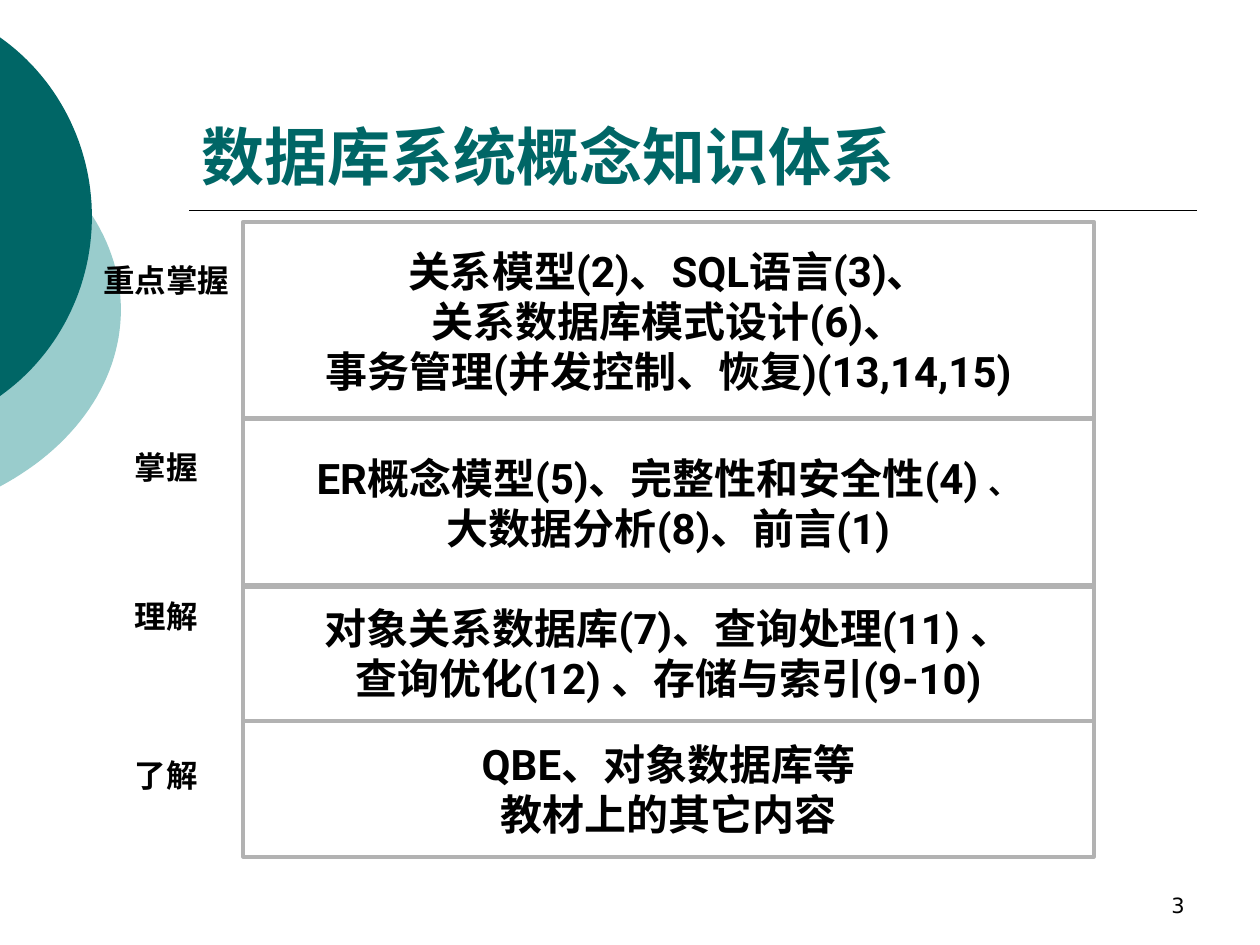
from math import acos, cos, sin

from lxml.etree import SubElement
from pptx import Presentation
from pptx.dml.color import RGBColor
from pptx.enum.shapes import MSO_CONNECTOR as Connector, MSO_SHAPE as Shape
from pptx.enum.text import MSO_ANCHOR as Anchor, PP_ALIGN as Align
from pptx.oxml.ns import qn
from pptx.util import Inches, Pt

TEAL = RGBColor(0x00, 0x66, 0x66)
PALE = RGBColor(0x99, 0xCC, 0xCC)
GRAY = RGBColor(0xB2, 0xB2, 0xB2)
BLACK = RGBColor(0x00, 0x00, 0x00)

LEVELS = [
    ("重点掌握", 2.02, 1.76, 1.57,
     [["关系模型(2)、SQL语言(3)、"], ["关系数据库模式设计(6)、"],
      ["事务管理(并发控制、恢复)(13,14,15)"]]),
    ("掌握", 3.51, 3.32, 1.34,
     [["ER概念模型(5)、完整性和安全性(4) ", "、"], ["大数据分析(8)、前言(1)"]]),
    ("理解", 4.69, 4.64, 1.08,
     [["对象关系数据库(7)、查询处理(11) 、"], ["查询优化(12) 、存储与索引(9-10)"]]),
    ("了解", 5.95, 5.72, 1.08,
     [["QBE、对象数据库等"], ["教材上的其它内容"]]),
]


class Deck:
    font = "Roboto"

    def __init__(self, prs):
        self.s = prs.slides.add_slide(prs.slide_layouts[5])

    def style(self, r, size, color=BLACK, bold=True, font=None):
        r.font.name = font or self.font
        r.font.size = Pt(size)
        r.font.bold = bold
        r.font.color.rgb = color

    def title(self, text):
        sp = self.s.shapes.title
        sp.left, sp.top = Inches(1.5), Inches(0.33)
        sp.width, sp.height = Inches(8), Inches(1.25)
        tf = sp.text_frame
        tf.text = text
        tf.vertical_anchor = Anchor.BOTTOM
        p = tf.paragraphs[0]
        p.alignment = Align.LEFT
        self.style(p.runs[0], 36, TEAL, font="Arial")

    def edge_arc(self, cx, cy, rx, ry, color, steps=60):
        limit = acos(-cx / rx)
        angles = [limit * (2 * i / steps - 1) for i in range(steps + 1)]
        points = [(Inches(cx + rx * cos(a)), Inches(cy + ry * sin(a))) for a in angles]
        fb = self.s.shapes.build_freeform(*points[0])
        fb.add_line_segments(points[1:], close=True)
        sp = fb.convert_to_shape()
        sp.shadow.inherit = False
        sp.fill.solid()
        sp.fill.fore_color.rgb = color
        sp.line.fill.background()

    def rule(self, x1, x2, y):
        line = self.s.shapes.add_connector(
            Connector.STRAIGHT, Inches(x1), Inches(y), Inches(x2), Inches(y))
        line.line.color.rgb = BLACK
        line.line.width = Pt(1)
        SubElement(line._element.spPr, qn("a:effectLst"))

    def box(self, top, height, lines):
        sp = self.s.shapes.add_shape(
            Shape.RECTANGLE, Inches(1.93), Inches(top), Inches(6.75), Inches(height))
        sp.shadow.inherit = False
        sp.fill.background()
        sp.line.color.rgb = GRAY
        sp.line.width = Pt(2.25)
        tf = sp.text_frame
        tf.word_wrap = False
        tf.vertical_anchor = Anchor.MIDDLE
        for i, parts in enumerate(lines):
            p = tf.add_paragraph() if i else tf.paragraphs[0]
            p.alignment = Align.CENTER
            for part, size in zip(parts, (24, 18)):
                r = p.add_run()
                r.text = part
                self.style(r, size)

    def text(self, x, y, w, h, text, size, align, anchor=Anchor.TOP, **style):
        tb = self.s.shapes.add_textbox(Inches(x), Inches(y), Inches(w), Inches(h))
        tf = tb.text_frame
        tf.word_wrap = True
        tf.vertical_anchor = anchor
        tf.text = text
        p = tf.paragraphs[0]
        p.alignment = align
        self.style(p.runs[0], size, **style)


def main():
    prs = Presentation()
    prs.slide_width, prs.slide_height = Inches(10), Inches(7.5)
    deck = Deck(prs)
    deck.edge_arc(-1.29, 2.46, 2.25, 1.71, PALE)
    deck.edge_arc(-0.96, 1.72, 1.69, 1.73, TEAL)
    deck.rule(1.5, 9.5, 1.67)
    deck.title("数据库系统概念知识体系")
    for label, label_top, top, height, lines in LEVELS:
        deck.box(top, height, lines)
        deck.text(0.59, label_top, 1.46, 0.4, label, 18, Align.CENTER)
    deck.text(7.17, 6.83, 2.33, 0.5, "3", 12, Align.RIGHT, Anchor.BOTTOM,
              bold=False, font="DejaVu Sans")
    prs.save("out.pptx")


if __name__ == "__main__":
    main()
